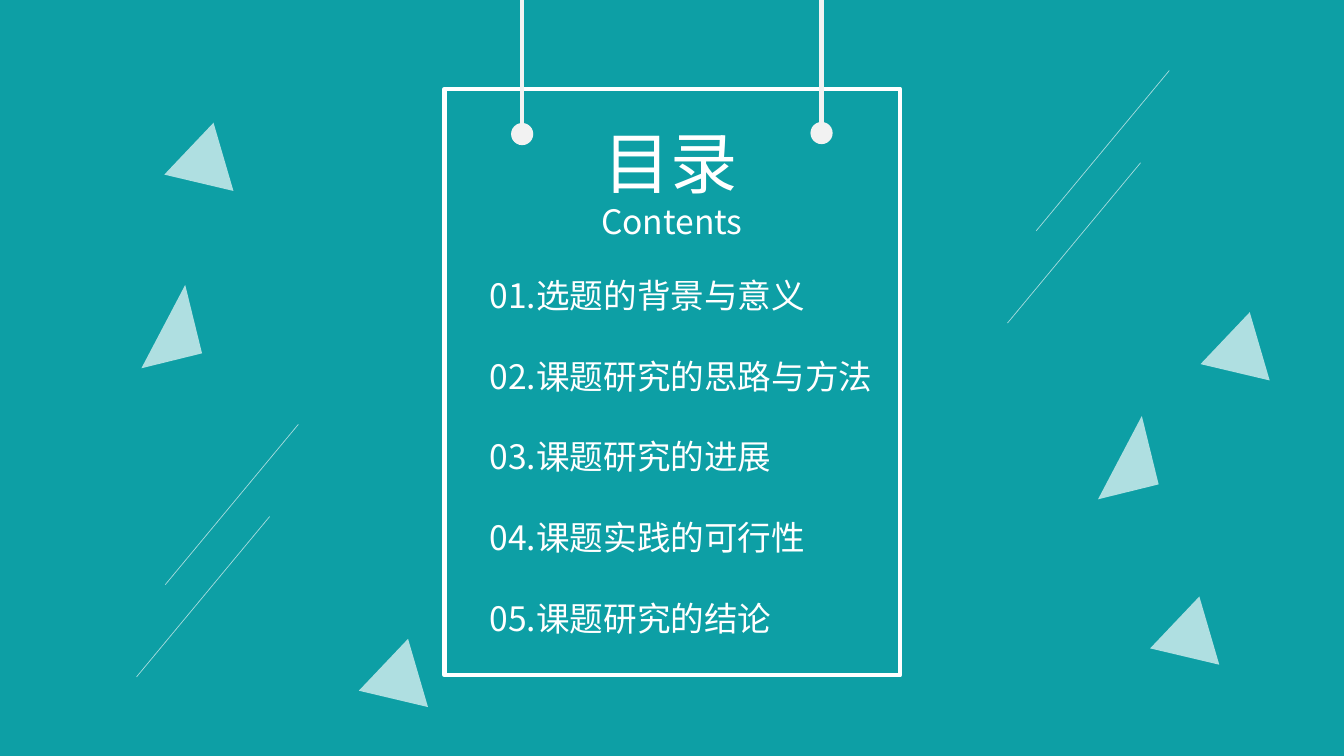
"""Builds a contents slide: a hanging sign with five chapters, triangles and slanted lines."""
from pptx import Presentation, util as u
from pptx.dml import color
from pptx.enum import shapes, text
from pptx.oxml import ns, xmlchemy

COLOURS = {"teal": "0D9FA5", "white": "FFFFFF", "pale": "F2F2F2"}
FONT = "Noto Sans CJK SC"
CELL = 0.1
COLUMNS, ROWS = 133.33, 75


def cells(*counts):
    return [u.Inches(CELL * count) for count in counts]


def add_child(parent, tag, **attributes):
    child = xmlchemy.OxmlElement(tag)
    for key, value in attributes.items():
        child.set(key, value)
    parent.append(child)


def paint(fill, colour, opacity=100):
    fill.solid()
    fill.fore_color.rgb = color.RGBColor.from_string(COLOURS[colour])
    if opacity < 100:
        tone = fill._xPr.find(".//" + ns.qn("a:srgbClr"))
        add_child(tone, "a:alpha", val=str(opacity * 1000))


def write(frame, lines, size=24, align=text.PP_ALIGN.LEFT, leading=1.2):
    frame.word_wrap = True
    frame.auto_size = text.MSO_AUTO_SIZE.SHAPE_TO_FIT_TEXT
    frame.vertical_anchor = text.MSO_ANCHOR.TOP
    frame.text = "\n".join(lines)
    for paragraph in frame.paragraphs:
        paragraph.alignment = align
        paragraph.line_spacing = u.Pt(size * leading)
        paragraph.space_before = u.Pt(0)
        for run in paragraph.runs:
            run.font.size = u.Pt(size)
            run.font.name = FONT
            paint(run.font.fill, "white")
            add_child(run.font._element, "a:ea", typeface=FONT)


class Sign:
    """Draws elements on one slide, with lengths counted in grid cells."""

    def __init__(self, deck):
        self.slide = deck.slides.add_slide(deck.slide_layouts[5])
        paint(self.slide.background.fill, "teal")

    def shape(self, kind, left, top, width, height, fill=None, opacity=100,
              outline=None, turn=0):
        item = self.slide.shapes.add_shape(kind, *cells(left, top, width, height))
        item.shadow.inherit = False
        item.rotation = turn
        if fill:
            paint(item.fill, fill, opacity)
        else:
            item.fill.background()
        if outline:
            paint(item.line.fill, outline)
            item.line.width = u.Pt(3)
        else:
            item.line.fill.background()
        return item

    def line(self, start, end, colour="white", weight=0.5, opacity=100):
        item = self.slide.shapes.add_connector(
            shapes.MSO_CONNECTOR.STRAIGHT, *cells(*start, *end))
        paint(item.line.fill, colour, opacity)
        item.line.width = u.Pt(weight)
        add_child(item._element.spPr, "a:effectLst")

    def title(self, left, top, width, height, words, **style):
        heading = self.slide.shapes.title
        heading.left, heading.top, heading.width, heading.height = cells(
            left, top, width, height)
        write(heading.text_frame, [words], **style)

    def words(self, left, top, width, height, lines, **style):
        box = self.slide.shapes.add_textbox(*cells(left, top, width, height))
        write(box.text_frame, lines, **style)

    def cord(self, x, knob_top):
        self.line((x, 0), (x, 13), "pale", 3)
        self.shape(shapes.MSO_SHAPE.OVAL, x - 1.1, knob_top, 2.2, 2.2, "pale")

    def slants(self, x, y):
        for left, top in ((x, y), (x - 2.85, y + 9.15)):
            self.line((left, top), (left - 13.2, top + 15.9), opacity=64)

    def tall_triangle(self, left, top):
        shard = self.shape(shapes.MSO_SHAPE.ISOSCELES_TRIANGLE, left, top,
                           6.2, 7, "white", 67, turn=346.2)
        shard.adjustments[0] = 1

    def wide_triangle(self, left, top):
        self.shape(shapes.MSO_SHAPE.ISOSCELES_TRIANGLE, left, top,
                   7.1, 6.1, "white", 67, turn=133.5)


def main():
    deck = Presentation()
    deck.slide_width, deck.slide_height = cells(COLUMNS, ROWS)
    sign = Sign(deck)
    centre = text.PP_ALIGN.CENTER

    sign.shape(shapes.MSO_SHAPE.RECTANGLE, 44.1, 8.8, 45.2, 58.2, outline="white")
    for x, knob_top in ((51.8, 12.2), (81.5, 12.1)):
        sign.cord(x, knob_top)
    for x, y in ((116, 7), (29.6, 42.1)):
        sign.slants(x, y)

    chapters = ["选题的背景与意义", "课题研究的思路与方法", "课题研究的进展",
                "课题实践的可行性", "课题研究的结论"]
    numbered = [f"{number:02}.{chapter}" for number, chapter in enumerate(chapters, 1)]
    sign.words(47.6, 22.8, 46.2, 41.4, numbered, leading=2.4)
    sign.title(55.5, 11.5, 22.1, 9.1, "目录", size=48, align=centre)
    sign.words(54.3, 19.4, 24.7, 5, ["Contents"], align=centre)

    for left, top in ((108, 41.9), (13.1, 28.9)):
        sign.tall_triangle(left, top)
    for left, top in ((120.2, 32.6), (115.2, 60.8), (17.4, 13.8), (36.7, 65)):
        sign.wide_triangle(left, top)

    deck.save("out.pptx")


if __name__ == "__main__":
    main()
